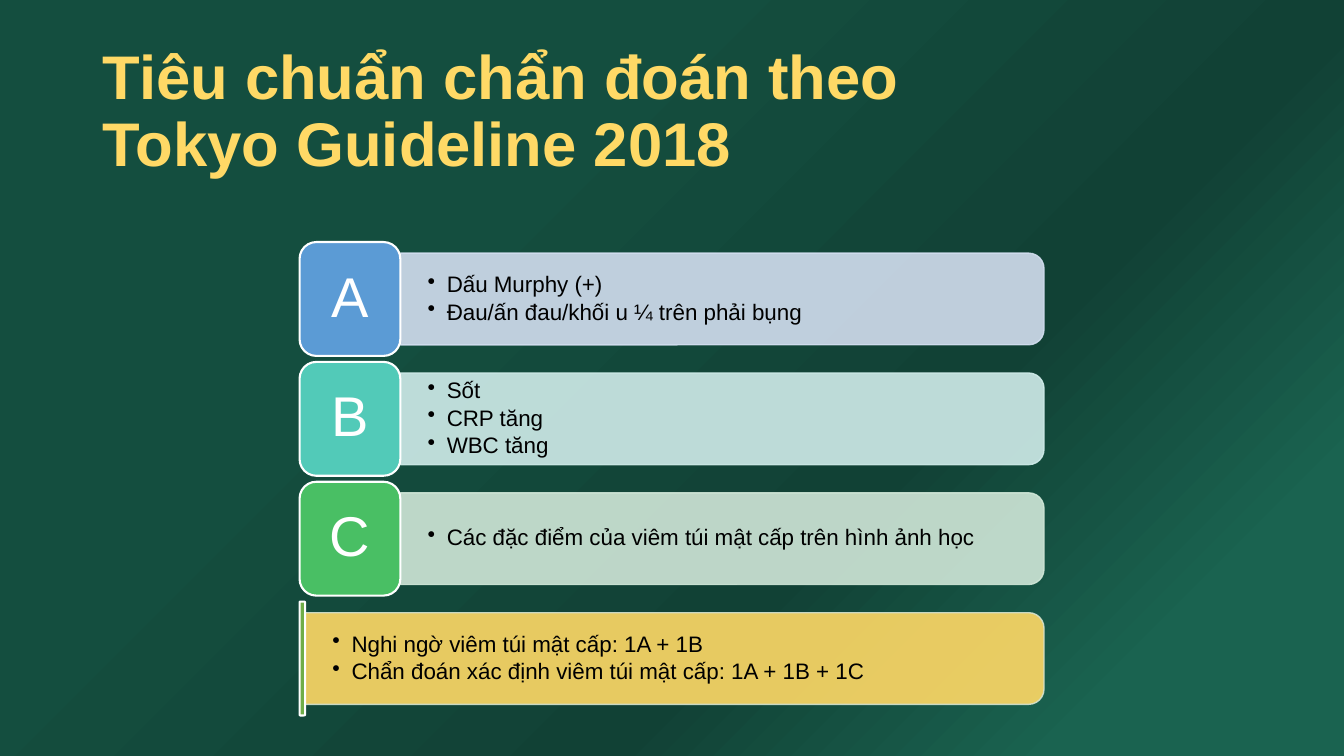
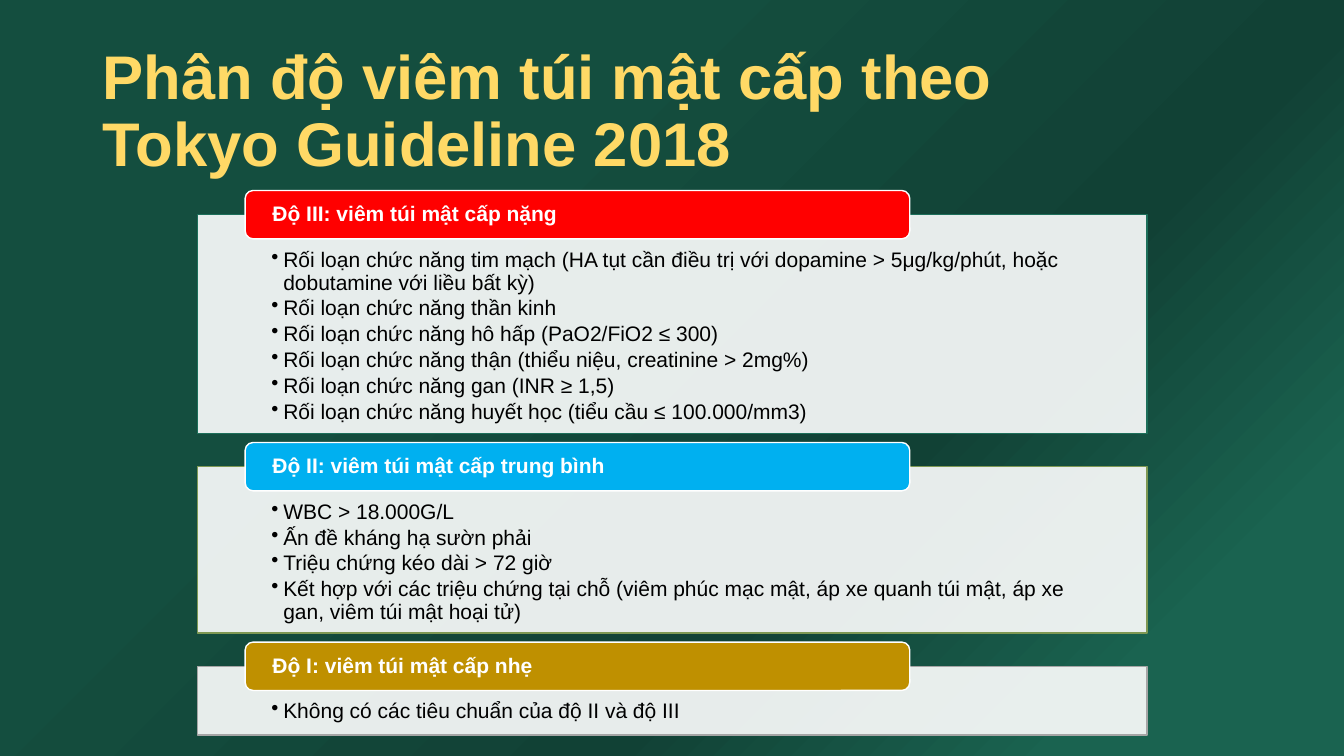
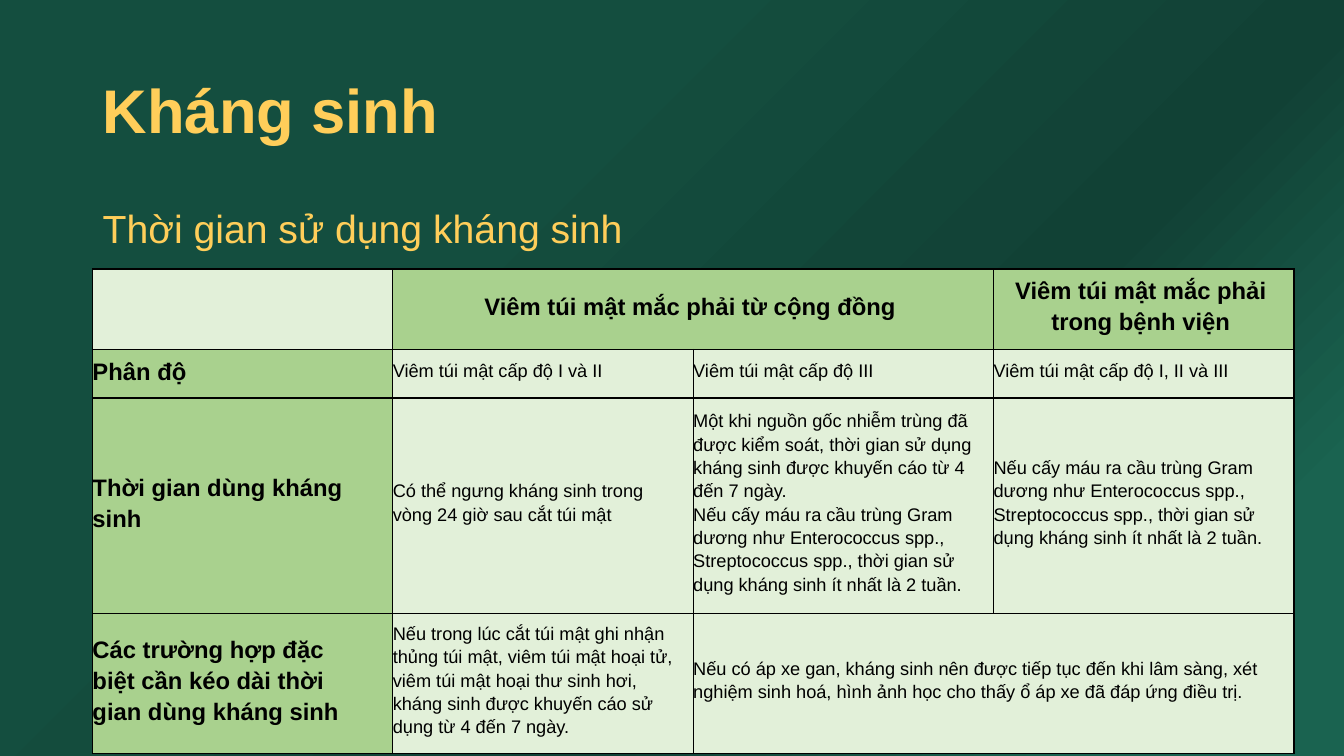
from lxml.etree import SubElement
from pptx import Presentation
from pptx.dml.color import RGBColor
from pptx.enum.shapes import MSO_SHAPE
from pptx.enum.text import MSO_ANCHOR, PP_ALIGN
from pptx.oxml.ns import qn
from pptx.util import Cm, Pt

COLORS = {
    "yellow": "FFD966", "amber": "FFCE5A", "black": "000000", "white": "FFFFFF",
    "green_light": "1A6350", "green_dark": "114135", "green_mid": "144E3F",
    "blue": "5B9BD5", "blue_pale": "D2DEEF", "teal": "52CAB8", "teal_pale": "D0ECEA",
    "leaf": "49BF64", "leaf_pale": "D0E7D8", "olive": "70AD47", "olive_pale": "D5E3CF",
    "red": "FF0000", "sky": "00B0F0", "gold": "BF9000",
    "edge_green": "1D6F5A", "edge_olive": "7E9853", "edge_gray": "A5A5A5",
    "table_head": "A9D18E", "table_body": "E2F0D9",
}
# Background stops: position %, colour, opacity %
BACKGROUND = [(0, "green_light", 79), (14, "green_light", 100),
              (35, "green_dark", 100), (68, "green_mid", 100)]

# Text formats: font attributes, colour, and paragraph settings
TITLE = {"font": {"size": Pt(44), "bold": True}, "color": "yellow", "spacing": 0.9}
TITLE_AMBER = {**TITLE, "color": "amber"}
SUBTITLE = {"font": {"size": Pt(28)}, "color": "amber", "spacing": 1.5}
LETTER = {"font": {"size": Pt(40)}, "color": "white", "spacing": 0.9,
          "align": PP_ALIGN.CENTER}
CRITERIA = {"font": {"size": Pt(16)}, "color": "black", "spacing": 0.9,
            "after": 15, "bullet": 0.48}
GRADE_HEAD = {"font": {"size": Pt(15), "bold": True}, "color": "white", "spacing": 0.9}
GRADE_ITEM = {"font": {"size": Pt(15)}, "color": "black", "spacing": 0.9,
              "after": 15, "bullet": 0.3}
CELL = {"font": {"size": Pt(13), "bold": False}, "color": "black", "spacing": 1.15}
CELL_SIDE = {**CELL, "font": {"size": Pt(17), "bold": True}}
CELL_TOP = {**CELL_SIDE, "align": PP_ALIGN.CENTER}

MARGINS = ("margin_left", "margin_top", "margin_right", "margin_bottom")


def rgb(name):
    return RGBColor.from_string(COLORS[name])


def set_attributes(target, values):
    for name, value in values.items():
        setattr(target, name, value)


def set_margins(target, margins):
    set_attributes(target, {name: Cm(value) for name, value in zip(MARGINS, margins)})


def add_alpha(element, percent):
    for color in element.iter(qn("a:srgbClr")):
        SubElement(color, qn("a:alpha")).set("val", str(percent * 1000))


def write_text(frame, lines, style):
    """Fill a text frame with one paragraph per line."""
    for index, line in enumerate(lines):
        paragraph = frame.paragraphs[0] if index == 0 else frame.add_paragraph()
        paragraph.text = line
        paragraph.alignment = style.get("align", PP_ALIGN.LEFT)
        paragraph.line_spacing = style["spacing"]
        properties = paragraph._p.get_or_add_pPr()
        if "after" in style:
            after = SubElement(properties, qn("a:spcAft"))
            SubElement(after, qn("a:spcPct")).set("val", str(style["after"] * 1000))
        if "bullet" in style:
            indent = Cm(style["bullet"])
            properties.set("marL", str(indent))
            properties.set("indent", str(-indent))
            SubElement(properties, qn("a:buChar")).set("char", "•")
        for run in paragraph.runs:
            set_attributes(run.font, {"name": "Arial", **style["font"]})
            run.font.color.rgb = rgb(style["color"])


def fill_frame(shape, lines, style, margins, anchor=MSO_ANCHOR.MIDDLE):
    frame = shape.text_frame
    set_attributes(frame, {"word_wrap": True, "vertical_anchor": anchor})
    set_margins(frame, margins)
    write_text(frame, lines, style)


def add_text(slide, box, lines, style, margins=(0.25, 0.13, 0.25, 0.13),
             anchor=MSO_ANCHOR.MIDDLE):
    shape = slide.shapes.add_textbox(*map(Cm, box))
    fill_frame(shape, lines, style, margins, anchor)


def add_box(slide, kind, box, fill, line, width, opacity=100):
    shape = slide.shapes.add_shape(kind, *map(Cm, box))
    shape.shadow.inherit = False
    shape.fill.solid()
    shape.fill.fore_color.rgb = rgb(fill)
    if opacity < 100:
        add_alpha(shape._element.spPr, opacity)
    shape.line.color.rgb = rgb(line)
    shape.line.width = Pt(width)
    return shape


def set_background(master):
    fill = master.background.fill
    fill.gradient()
    fill.gradient_angle = 135
    stops = next(master.element.iter(qn("a:gsLst")))
    for stop in list(stops):
        stops.remove(stop)
    for position, color, opacity in BACKGROUND:
        stop = SubElement(stops, qn("a:gs"))
        stop.set("pos", str(position * 1000))
        SubElement(stop, qn("a:srgbClr")).set("val", COLORS[color])
        if opacity < 100:
            add_alpha(stop, opacity)


def add_titled_slide(presentation, title, style=TITLE):
    slide = presentation.slides.add_slide(presentation.slide_layouts[6])
    add_text(slide, (2.34, 1.01, 29.21, 3.68), [title], style)
    return slide


# Slide 1: diagnostic criteria
def add_criteria_row(slide, box, tile_width, letter, lines, tile_color, bar_color, edge):
    left, top, width, height = box
    bar_left, bar_width, bar_height = left + tile_width, width - tile_width, 2.31
    middle = top + height / 2

    # Bar turned a quarter, so its round corners face right
    turned = (bar_left + (bar_width - bar_height) / 2, middle - bar_width / 2,
              bar_height, bar_width)
    bar = add_box(slide, MSO_SHAPE.ROUND_2_SAME_RECTANGLE, turned, bar_color, edge, 1, 90)
    bar.rotation = 90
    add_alpha(bar.line._get_or_add_ln(), 90)
    add_text(slide, (bar_left, middle - 1.04, bar_width - 0.11, 2.08), lines, CRITERIA,
             (0.69, 0.36, 0.69, 0.36))

    # Letter tile
    tile = add_box(slide, MSO_SHAPE.ROUNDED_RECTANGLE, (left, top, tile_width, height),
                   tile_color, "white", 1.5)
    if letter:
        fill_frame(tile, [letter], LETTER, (0.43, 0.2, 0.43, 0.2))


def build_criteria(presentation):
    slide = add_titled_slide(presentation,
                             "Tiêu chuẩn chẩn đoán theo\vTokyo Guideline 2018")
    rows = [
        (2.54, "A", ["Dấu Murphy (+)", "Đau/ấn đau/khối u ¼ trên phải bụng"],
         "blue", "blue_pale", "blue_pale"),
        (2.54, "B", ["Sốt", "CRP tăng", "WBC tăng"], "teal", "teal_pale", "teal_pale"),
        (2.54, "C", ["Các đặc điểm của viêm túi mật cấp trên hình ảnh học"],
         "leaf", "leaf_pale", "leaf_pale"),
        (0.14, "", ["Nghi ngờ viêm túi mật cấp: 1A + 1B",
                    "Chẩn đoán xác định viêm túi mật cấp: 1A + 1B + 1C"],
         "olive", "yellow", "olive_pale"),
    ]
    for index, row in enumerate(rows):
        add_criteria_row(slide, (7.55, 6.1 + index * 3.02, 18.76, 2.87), *row)


# Slide 2: grades of severity
def add_grade(slide, box, heading, lines, color, edge):
    left, top, width, _ = box
    panel = add_box(slide, MSO_SHAPE.RECTANGLE, box, "white", edge, 1, 90)
    fill_frame(panel, lines, GRADE_ITEM, (1.86, 0.87, 1.86, 0.3), MSO_ANCHOR.TOP)
    header = add_box(slide, MSO_SHAPE.ROUNDED_RECTANGLE,
                     (left + width * 0.05, top - 0.61, width * 0.7, 1.22),
                     color, "white", 1)
    fill_frame(header, [heading], GRADE_HEAD, (0.63, 0, 0.63, 0))


def build_grades(presentation):
    slide = add_titled_slide(presentation,
                             "Phân độ viêm túi mật cấp theo\vTokyo Guideline 2018")
    grades = [
        (5.51, "Độ III: viêm túi mật cấp nặng", [
            "Rối loạn chức năng tim mạch (HA tụt cần điều trị với dopamine > 5μg/kg/phút, "
            "hoặc dobutamine với liều bất kỳ)",
            "Rối loạn chức năng thần kinh",
            "Rối loạn chức năng hô hấp (PaO2/FiO2 ≤ 300)",
            "Rối loạn chức năng thận (thiểu niệu, creatinine > 2mg%)",
            "Rối loạn chức năng gan (INR ≥ 1,5)",
            "Rối loạn chức năng huyết học (tiểu cầu ≤ 100.000/mm3)",
        ], "red", "edge_green"),
        (4.19, "Độ II: viêm túi mật cấp trung bình", [
            "WBC > 18.000G/L",
            "Ấn đề kháng hạ sườn phải",
            "Triệu chứng kéo dài > 72 giờ",
            "Kết hợp với các triệu chứng tại chỗ (viêm phúc mạc mật, áp xe quanh túi mật, "
            "áp xe gan, viêm túi mật hoại tử)",
        ], "sky", "edge_olive"),
        (1.73, "Độ I: viêm túi mật cấp nhẹ",
         ["Không có các tiêu chuẩn của độ II và độ III"], "gold", "edge_gray"),
    ]
    top = 5.41
    for height, *grade in grades:
        add_grade(slide, (4.98, top, 23.93, height), *grade)
        top += height + 0.84


# Slide 3: antibiotic table
def add_borders(cell):
    properties = cell._tc.get_or_add_tcPr()
    for index, side in enumerate(("lnL", "lnR", "lnT", "lnB")):
        line = properties.makeelement(qn(f"a:{side}"), {"w": str(Pt(1))})
        fill = SubElement(line, qn("a:solidFill"))
        SubElement(fill, qn("a:srgbClr")).set("val", COLORS["black"])
        properties.insert(index, line)


def add_duration_table(slide, box, row_heights, rows, merges):
    columns = len(rows[0])
    table = slide.shapes.add_table(len(rows), columns, *map(Cm, box)).table
    set_attributes(table, {"first_row": False, "horz_banding": False})
    for column in table.columns:
        column.width = Cm(box[2] / columns)
    for row_index, (height, texts) in enumerate(zip(row_heights, rows)):
        table.rows[row_index].height = Cm(height)
        for column_index, lines in enumerate(texts):
            cell = table.cell(row_index, column_index)
            is_top, is_side = row_index == 0, column_index == 0
            style = CELL_TOP if is_top else CELL_SIDE if is_side else CELL
            cell.fill.solid()
            cell.fill.fore_color.rgb = rgb(
                "table_head" if is_top != is_side else "table_body")
            cell.vertical_anchor = MSO_ANCHOR.MIDDLE
            set_margins(cell, (0, 0.05 if is_top else 0.08,
                               0.66 if is_side else 0.15, 0.28))
            write_text(cell.text_frame, lines, style)
            add_borders(cell)
    for row_index, first, last in merges:
        table.cell(row_index, first).merge(table.cell(row_index, last))


def build_antibiotics(presentation):
    slide = add_titled_slide(presentation, "Kháng sinh", TITLE_AMBER)
    add_text(slide, (2.34, 4.42, 29.21, 2.54), ["Thời gian sử dụng kháng sinh"],
             SUBTITLE, anchor=MSO_ANCHOR.TOP)
    gram_positive = ("Nếu cấy máu ra cầu trùng Gram dương như Enterococcus spp., "
                     "Streptococcus spp., thời gian sử dụng kháng sinh ít nhất là 2 tuần.")
    rows = [
        [[], ["Viêm túi mật mắc phải từ cộng đồng"], [],
         ["Viêm túi mật mắc phải trong bệnh viện"]],
        [["Phân độ"], ["Viêm túi mật cấp độ I và II"], ["Viêm túi mật cấp độ III"],
         ["Viêm túi mật cấp độ I, II và III"]],
        [["Thời gian dùng kháng sinh"],
         ["Có thể ngưng kháng sinh trong vòng 24 giờ sau cắt túi mật"],
         ["Một khi nguồn gốc nhiễm trùng đã được kiểm soát, thời gian sử dụng kháng sinh "
          "được khuyến cáo từ 4 đến 7 ngày.", gram_positive],
         [gram_positive]],
        [["Các trường hợp đặc biệt cần kéo dài thời gian dùng kháng sinh"],
         ["Nếu trong lúc cắt túi mật ghi nhận thủng túi mật, viêm túi mật hoại tử, viêm "
          "túi mật hoại thư sinh hơi, kháng sinh được khuyến cáo sử dụng từ 4 đến 7 ngày."],
         ["Nếu có áp xe gan, kháng sinh nên được tiếp tục đến khi lâm sàng, xét nghiệm "
          "sinh hoá, hình ảnh học cho thấy ổ áp xe đã đáp ứng điều trị."], []],
    ]
    add_duration_table(slide, (2.33, 6.78, 30.28, 11.94), (2.03, 1.22, 5.39, 3.3),
                       rows, [(0, 1, 2), (3, 2, 3)])


def main():
    presentation = Presentation()
    set_attributes(presentation, {"slide_width": Cm(33.87), "slide_height": Cm(19.05)})
    set_background(presentation.slide_master)
    build_criteria(presentation)
    build_grades(presentation)
    build_antibiotics(presentation)
    presentation.save("out.pptx")


if __name__ == "__main__":
    main()
